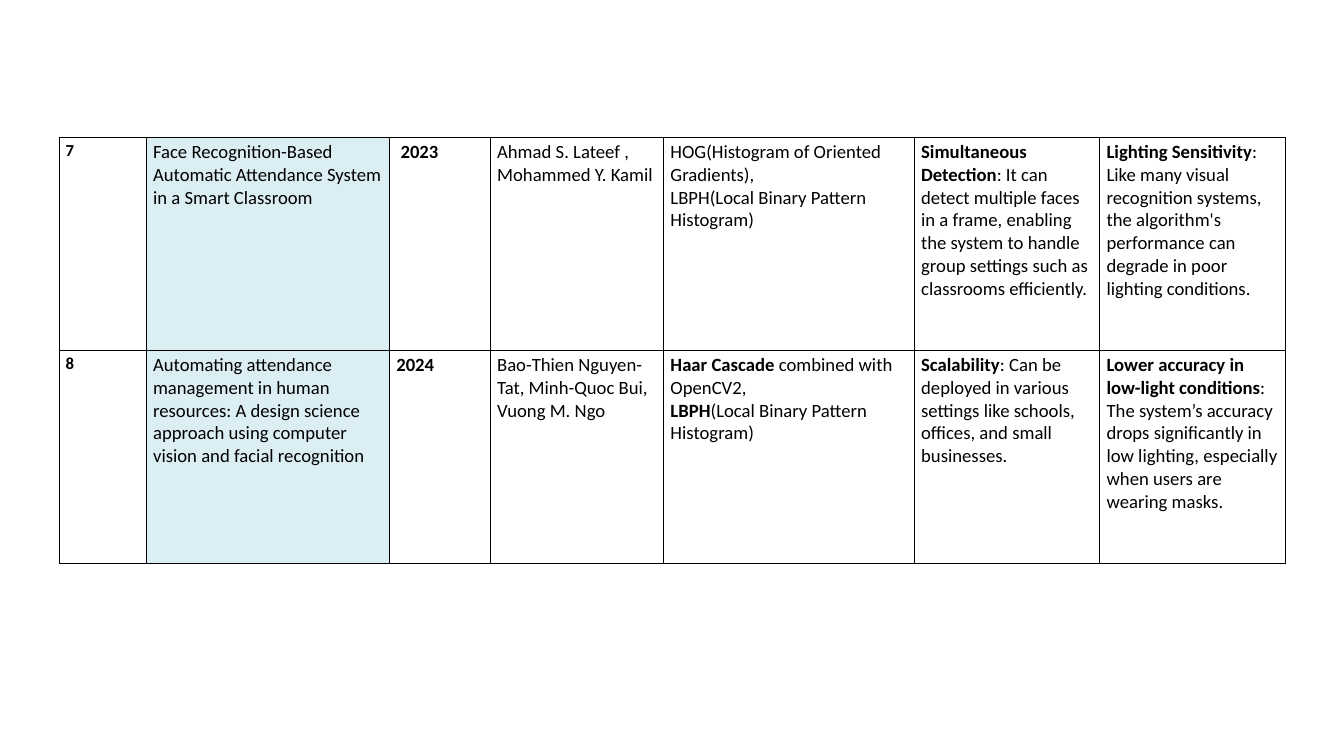
from lxml import etree
from pptx import Presentation
from pptx.dml.color import RGBColor
from pptx.oxml.ns import qn
from pptx.util import Pt

BLANK_LAYOUT = 6
BLACK, WHITE, PALE_BLUE = "000000", "FFFFFF", "DBEEF4"

COLUMN_WIDTHS = [93.6, 260.64, 108, 185.76, 268.56, 198.72, 198.72]
ROW_HEIGHT = 228.24
NUMBER_COLUMN, TITLE_COLUMN = 0, 1

# Each cell is a list of paragraphs; ** switches bold on and off
PAPERS = [
    [
        ["**7**"],
        ["Face Recognition-Based Automatic Attendance System in a Smart Classroom"],
        ["** 2023**"],
        ["Ahmad S. Lateef , Mohammed Y. Kamil"],
        ["HOG(Histogram of Oriented Gradients),",
         "LBPH(Local Binary Pattern Histogram)"],
        ["**Simultaneous Detection**: It can detect multiple faces in a frame, "
         "enabling the system to handle group settings such as classrooms efficiently."],
        ["**Lighting Sensitivity**: Like many visual recognition systems, "
         "the algorithm's performance can degrade in poor lighting conditions."],
    ],
    [
        ["**8**"],
        ["Automating attendance management in human resources: A design science "
         "approach using computer vision and facial recognition"],
        ["**2024**"],
        ["Bao-Thien Nguyen-Tat, Minh-Quoc Bui, Vuong M. Ngo"],
        ["**Haar Cascade** combined with OpenCV2,",
         "**LBPH**(Local Binary Pattern Histogram)"],
        ["**Scalability**: Can be deployed in various settings like schools, "
         "offices, and small businesses."],
        ["**Lower accuracy in low-light conditions**: The system’s accuracy drops "
         "significantly in low lighting, especially when users are wearing masks."],
    ],
]


def color(value):
    return RGBColor.from_string(value)


class Painter:
    font = "Calibri"
    body_size = 20
    number_size = 18
    border_width = 1

    def __init__(self, page):
        self.page = page

    def table(self, left, top, widths, row_height, rows):
        frame = self.page.shapes.add_table(
            len(rows), len(widths), Pt(left), Pt(top),
            Pt(sum(widths)), Pt(row_height * len(rows)))
        table = frame.table
        table.first_row = table.horz_banding = False
        for column, width in zip(table.columns, widths):
            column.width = Pt(width)
        for row_index, row in enumerate(rows):
            table.rows[row_index].height = Pt(row_height)
            for column_index, paragraphs in enumerate(row):
                cell = table.cell(row_index, column_index)
                fill = PALE_BLUE if column_index == TITLE_COLUMN else WHITE
                size = self.number_size if column_index == NUMBER_COLUMN else self.body_size
                self.cell(cell, paragraphs, fill, size)

    def cell(self, cell, paragraphs, fill, size):
        cell.fill.solid()
        cell.fill.fore_color.rgb = color(fill)
        self.borders(cell)
        cell.text_frame.text = "\n".join(paragraphs)
        for para, marked in zip(cell.text_frame.paragraphs, paragraphs):
            para.text = ""
            for index, words in enumerate(marked.split("**")):
                if words:
                    self.span(para, words, size, bold=index % 2 == 1)

    def span(self, para, words, size, bold):
        span = para.add_run()
        span.text = words
        span.font.name = self.font
        span.font.size = Pt(size)
        span.font.bold = bold
        span.font.color.rgb = color(BLACK)

    def borders(self, cell):
        # Border lines must come before the fill in the cell properties
        properties = cell._tc.get_or_add_tcPr()
        for index, side in enumerate(("a:lnL", "a:lnR", "a:lnT", "a:lnB")):
            line = etree.Element(qn(side), w=str(Pt(self.border_width)))
            solid = etree.SubElement(line, qn("a:solidFill"))
            etree.SubElement(solid, qn("a:srgbClr"), val=BLACK)
            properties.insert(index, line)


def main():
    deck = Presentation()
    deck.slide_width, deck.slide_height = Pt(1440), Pt(810)
    page = deck.slides.add_slide(deck.slide_layouts[BLANK_LAYOUT])

    # Literature survey table
    Painter(page).table(63.2, 147, COLUMN_WIDTHS, ROW_HEIGHT, PAPERS)

    deck.save("out.pptx")


if __name__ == "__main__":
    main()
